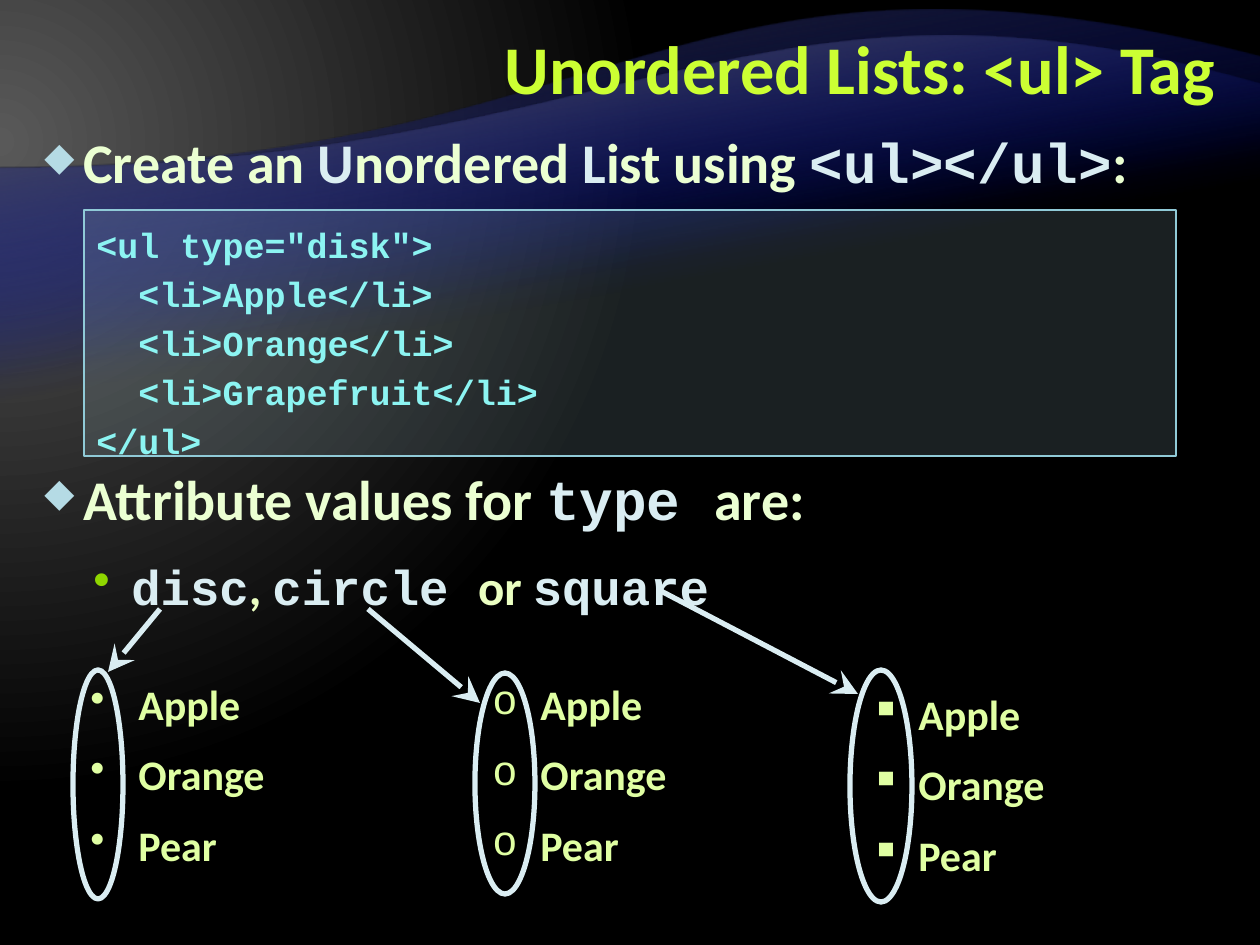
from pptx import Presentation
from pptx.dml.color import RGBColor
from pptx.enum.shapes import MSO_CONNECTOR as CONN, MSO_SHAPE as SHAPE
from pptx.enum.text import MSO_ANCHOR as ANCHOR, PP_ALIGN as ALIGN
from pptx.oxml import parse_xml
from pptx.oxml.ns import nsdecls, qn
from pptx.oxml.xmlchemy import OxmlElement
from pptx.util import Emu, Pt

SANS, MONO = "Calibri", "Courier New"
PALE, MINT, LEMON, LIME = "DAEDF2", "EBFFD2", "EBFFC2", "E0FFA3"
TITLE = "Unordered Lists: <ul> Tag"
INTRO = [("Create an ", SANS, MINT), ("U", SANS, PALE), ("nordered ", SANS, MINT),
         ("L", SANS, PALE), ("ist using ", SANS, MINT), ("<ul></ul>", MONO, PALE),
         (":", SANS, MINT)]
ATTRIBUTE = [("Attribute values for ", SANS, MINT), ("type ", MONO, PALE),
             ("are:", SANS, MINT)]
VALUES = [("disc", MONO, PALE), (", ", SANS, LEMON), ("circle ", MONO, PALE),
          ("or ", SANS, LEMON), ("square", MONO, PALE)]
# text runs, size, space before, margin, hanging, bullet, bullet colour, bullet percent
BODY = [(INTRO, 32, 0, 39, 39, "◆", "B5DBE5", 70),
        (ATTRIBUTE, 32, 150, 39, 39, "◆", "B5DBE5", 70),
        (VALUES, 28, 6, 87, 38, "•", "8FD600", 100)]
CODE = ['<ul type="disk">', "  <li>Apple</li>", "  <li>Orange</li>",
        "  <li>Grapefruit</li>", "</ul>"]
FRUITS = ["Apple", "Orange", "Pear"]
LISTS = [("•", None, (78, 672, 231, 217)), ("o", MONO, (480, 672, 262, 217)),
         ("▪", None, (858, 682, 262, 217))]
ARROWS = [(160, 609, 108, 672), (659, 590, 858, 694), (368, 609, 480, 703)]
RINGS = [(73, 670, 50, 229), (850, 670, 62, 232), (475, 673, 60, 221)]
WAVES = [(57, 823, [(630, 168), (673, -95)], "262626"),
         (84, 702, [(630, 168), (753, -62)], "595959")]
WAVE_LEFT, WIDTH, HEIGHT = 168, 1260, 945


def px(n):
    return Emu(round(n * 914400 / 126))


def rgb(color):
    return RGBColor.from_string(color)


def element(parent, tag, **attrs):
    e = OxmlElement(tag)
    for name, value in attrs.items():
        e.set(name, str(value))
    parent.append(e)
    return e


def set_gradient(fill, root, stops, direction):
    fill.gradient()
    grad = root.find(".//" + qn("a:gradFill"))
    gs = "".join(f'<a:gs pos="{pos}000"><a:srgbClr val="{color}">'
                 f'<a:alpha val="{alpha}000"/></a:srgbClr></a:gs>'
                 for pos, color, alpha in stops)
    grad.getparent().replace(grad, parse_xml(
        f'<a:gradFill {nsdecls("a")} rotWithShape="1"><a:gsLst>{gs}</a:gsLst>'
        f'{direction}</a:gradFill>'))


def add_wave(s, top, bottom, controls, color):
    def turn(x, y):
        return WIDTH - x, top + bottom - y
    start, *corners = [turn(*c) for c in [(WIDTH, bottom), (0, bottom),
                                          (0, WAVE_LEFT), (WIDTH, top)]]
    fb = s.shapes.build_freeform(*start, scale=px(1))
    fb.add_line_segments(corners, close=True)
    sp = fb.convert_to_shape()
    line = sp.element.findall(".//" + qn("a:lnTo"))[-1]
    curve = OxmlElement("a:cubicBezTo")
    for x, y in [turn(*c) for c in controls]:
        element(curve, "a:pt", x=x, y=y - top)
    curve.append(line[0])
    line.getparent().replace(line, curve)
    sp.rotation = 180
    sp.shadow.inherit = False
    sp.line.fill.background()
    set_gradient(sp.fill, sp.element, [(65, "000D9E", 0), (100, color, 100)],
                 '<a:lin ang="4800000" scaled="0"/>')


def add_box(s, box):
    tf = s.shapes.add_textbox(*map(px, box)).text_frame
    tf.word_wrap = True
    return tf


def next_paragraph(tf, i):
    return tf.add_paragraph() if i else tf.paragraphs[0]


def add_run(p, text, size, font, color):
    r = p.add_run()
    r.text = text
    r.font.size, r.font.name, r.font.bold = Pt(size), font, True
    r.font.color.rgb = rgb(color)


def set_bullet(p, char, margin, hanging, color, percent=100, font=None):
    ppr = p._p.get_or_add_pPr()
    ppr.set("marL", str(px(margin)))
    ppr.set("indent", str(-px(hanging)))
    element(element(ppr, "a:buClr"), "a:srgbClr", val=color)
    element(ppr, "a:buSzPct", val=percent * 1000)
    if font:
        element(ppr, "a:buFont", typeface=font)
    element(ppr, "a:buChar", char=char)


def add_text(s):
    tf = add_box(s, (252, 10, 976, 126))
    tf.vertical_anchor = ANCHOR.MIDDLE
    p = tf.paragraphs[0]
    p.alignment, p.line_spacing = ALIGN.RIGHT, Pt(40)
    add_run(p, TITLE, 39, SANS, "CCFF33")
    tf = add_box(s, (32, 126, 1197, 798))
    for i, (runs, size, before, margin, hanging, char, color, percent) in enumerate(BODY):
        p = next_paragraph(tf, i)
        set_bullet(p, char, margin, hanging, color, percent)
        p.line_spacing, p.space_before, p.space_after = Pt(36), Pt(before), Pt(6)
        for text, font, run_color in runs:
            add_run(p, text, size, font, run_color)


def add_arrow(s, ends):
    c = s.shapes.add_connector(CONN.STRAIGHT, *map(px, ends))
    c.line.color.rgb, c.line.width = rgb(PALE), Pt(3)
    element(c.line._get_or_add_ln(), "a:tailEnd", type="stealth", w="lg", len="lg")
    element(c.element.spPr, "a:effectLst")


def add_list(s, char, font, box):
    tf = add_box(s, box)
    for i, fruit in enumerate(FRUITS):
        p = next_paragraph(tf, i)
        set_bullet(p, char, 48, 48, LIME, font=font)
        p.space_before = Pt(11.5 if i else 0)
        add_run(p, fruit, 24, SANS, LIME)


def add_outlined(s, kind, box, color, width):
    sp = s.shapes.add_shape(kind, *map(px, box))
    sp.shadow.inherit = False
    sp.fill.background()
    sp.line.color.rgb, sp.line.width = rgb(color), Pt(width)
    return sp


def add_code(s):
    sp = add_outlined(s, SHAPE.RECTANGLE, (84, 210, 1092, 246), "90CAD7", 1)
    sp.fill.solid()
    sp.fill.fore_color.rgb = rgb("B5DBE5")
    element(sp.element.spPr.find(qn("a:solidFill"))[0], "a:alpha", val=15000)
    tf = sp.text_frame
    tf.vertical_anchor, tf.word_wrap = ANCHOR.TOP, True
    for i, text in enumerate(CODE):
        p = next_paragraph(tf, i)
        p.alignment, p.line_spacing = ALIGN.LEFT, 1.17
        add_run(p, text, 20, MONO, "8CF4F2")


def main():
    """Build the slide on unordered lists and save it."""
    prs = Presentation()
    prs.slide_width, prs.slide_height = px(WIDTH), px(HEIGHT)
    s = prs.slides.add_slide(prs.slide_layouts[6])
    set_gradient(s.background.fill, s.element, [(0, "595959", 100), (83, "000000", 100)],
                 '<a:path path="circle"><a:fillToRect l="20000" t="30000" '
                 'r="135000" b="100000"/></a:path>')
    for wave in WAVES:
        add_wave(s, *wave)
    add_text(s)
    for ends in ARROWS:
        add_arrow(s, ends)
    for fruit_list in LISTS:
        add_list(s, *fruit_list)
    for ring in RINGS:
        add_outlined(s, SHAPE.OVAL, ring, PALE, 3)
    add_code(s)
    prs.save("out.pptx")


if __name__ == "__main__":
    main()
